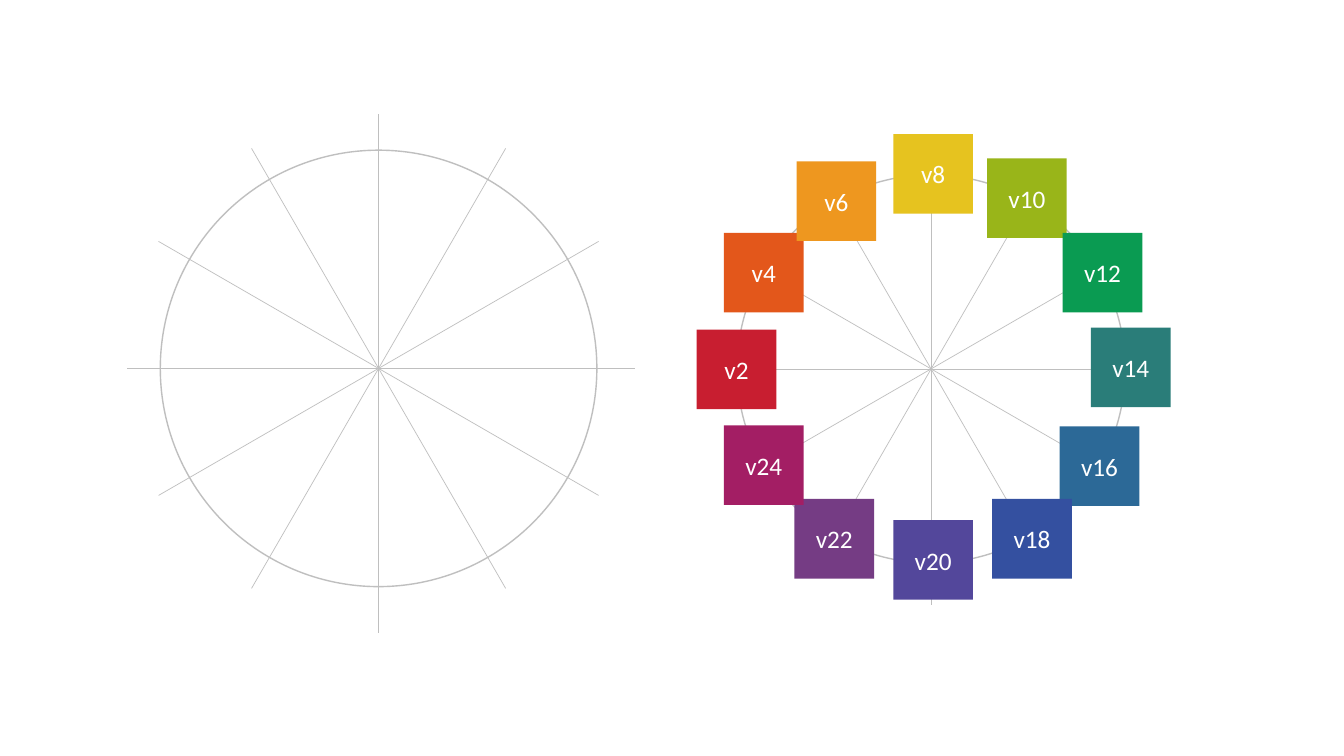
import math
from lxml import etree
from pptx import Presentation
from pptx.dml.color import RGBColor
from pptx.enum import shapes, text
from pptx.oxml import ns
from pptx import util as u

COLUMNS, ROWS = 1333, 750
COLORS = {
    "line": "BFBFBF", "label": "FFFFFF",
    "v2": "C81E30", "v4": "E3571B", "v6": "EE971F", "v8": "E6C31F",
    "v10": "99B519", "v12": "0A9B52", "v14": "2A7D79", "v16": "2C6997",
    "v18": "3450A0", "v20": "53479B", "v22": "753C84", "v24": "A31E64",
}

presentation = Presentation()
presentation.slide_width = u.Inches(13.33)
presentation.slide_height = u.Inches(7.5)
slide = presentation.slides.add_slide(presentation.slide_layouts[6])
column = presentation.slide_width / COLUMNS
row = presentation.slide_height / ROWS


def grid(*lengths):
    return [round(length * (row if index % 2 else column)) for index, length in enumerate(lengths)]


def write_text(shape, label, font="Calibri", size=18, color="label"):
    frame = shape.text_frame
    frame.vertical_anchor = text.MSO_ANCHOR.MIDDLE
    paragraph = frame.paragraphs[0]
    paragraph.alignment = text.PP_ALIGN.CENTER
    run = paragraph.add_run()
    run.text = label
    run.font.name = font
    run.font.size = u.Pt(size)
    run.font.color.rgb = RGBColor.from_string(COLORS[color])


wheels = [
    {"center": (375.5, 365.5), "radius": 216.5, "spoke": 252},
    {"center": (923.5, 366), "radius": 192.5, "spoke": 224},
]
for wheel in wheels:
    group = slide.shapes.add_group_shape()
    center_x, center_y = wheel["center"]
    radius = wheel["radius"]
    circle = group.shapes.add_shape(
        shapes.MSO_SHAPE.OVAL,
        *grid(center_x - radius, center_y - radius, 2 * radius, 2 * radius))
    circle.shadow.inherit = False
    circle.fill.background()
    circle.line.color.rgb = RGBColor.from_string(COLORS["line"])
    circle.line.width = u.Pt(1)

    for angle in (0, 90, 30, 60, 120, 150):
        shift_x = 2.5 if angle == 0 else 0
        shift_y = 5 if angle == 90 else 0
        length = wheel["spoke"] + shift_y
        reach_x = length * math.cos(math.radians(angle))
        reach_y = length * math.sin(math.radians(angle))
        middle_x, middle_y = center_x + shift_x, center_y + shift_y
        spoke = group.shapes.add_connector(
            shapes.MSO_CONNECTOR.STRAIGHT,
            *grid(middle_x - reach_x, middle_y - reach_y, middle_x + reach_x, middle_y + reach_y))
        spoke.line.color.rgb = RGBColor.from_string(COLORS["line"])
        spoke.line.width = u.Pt(0.5)
        etree.SubElement(spoke._element.spPr, ns.qn("a:effectLst"))

SWATCH = 79
swatches = [
    ("v2", 691, 327), ("v8", 886, 133), ("v4", 718, 231), ("v6", 790, 160),
    ("v14", 1082, 325), ("v20", 886, 516), ("v10", 979, 157), ("v12", 1054, 231),
    ("v16", 1051, 423), ("v18", 984, 495), ("v22", 788, 495), ("v24", 718, 422),
]
for name, left, top in swatches:
    swatch = slide.shapes.add_shape(shapes.MSO_SHAPE.RECTANGLE, *grid(left, top, SWATCH, SWATCH))
    swatch.shadow.inherit = False
    swatch.fill.solid()
    swatch.fill.fore_color.rgb = RGBColor.from_string(COLORS[name])
    swatch.line.fill.background()
    write_text(swatch, name)

presentation.save("out.pptx")
